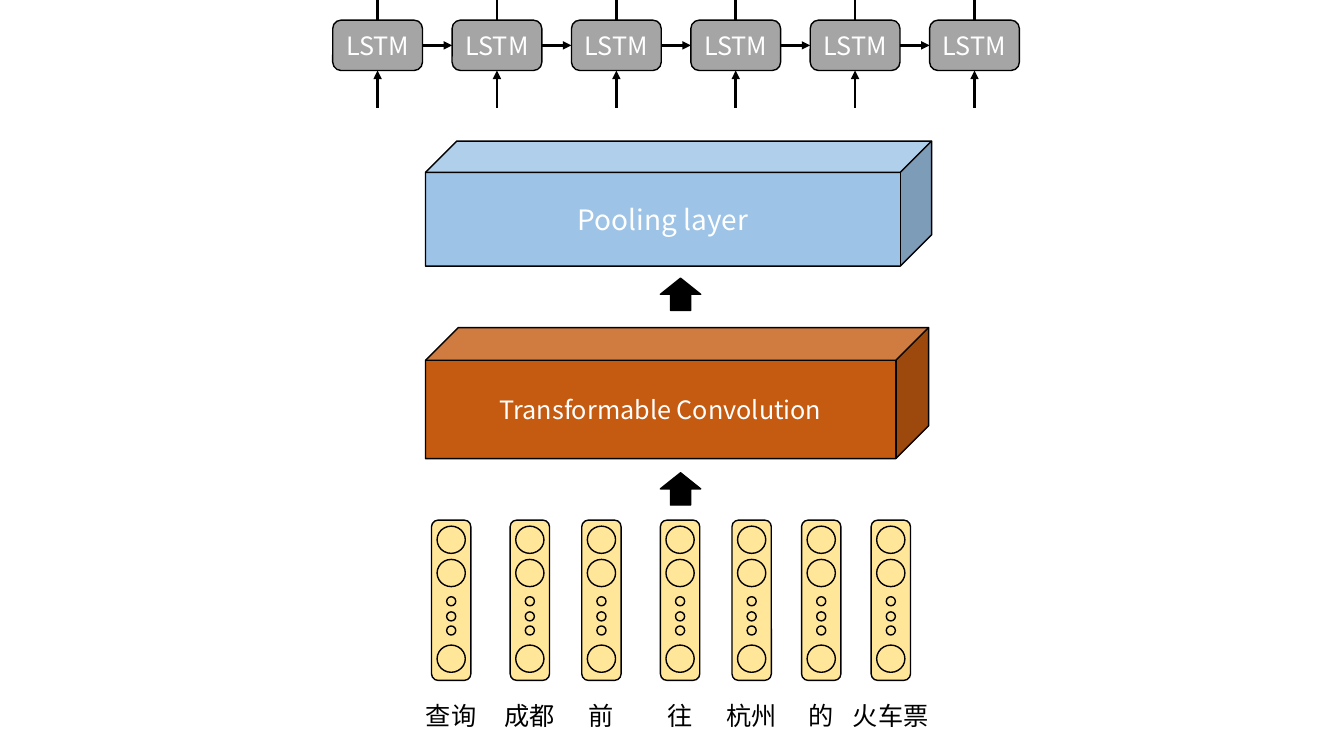
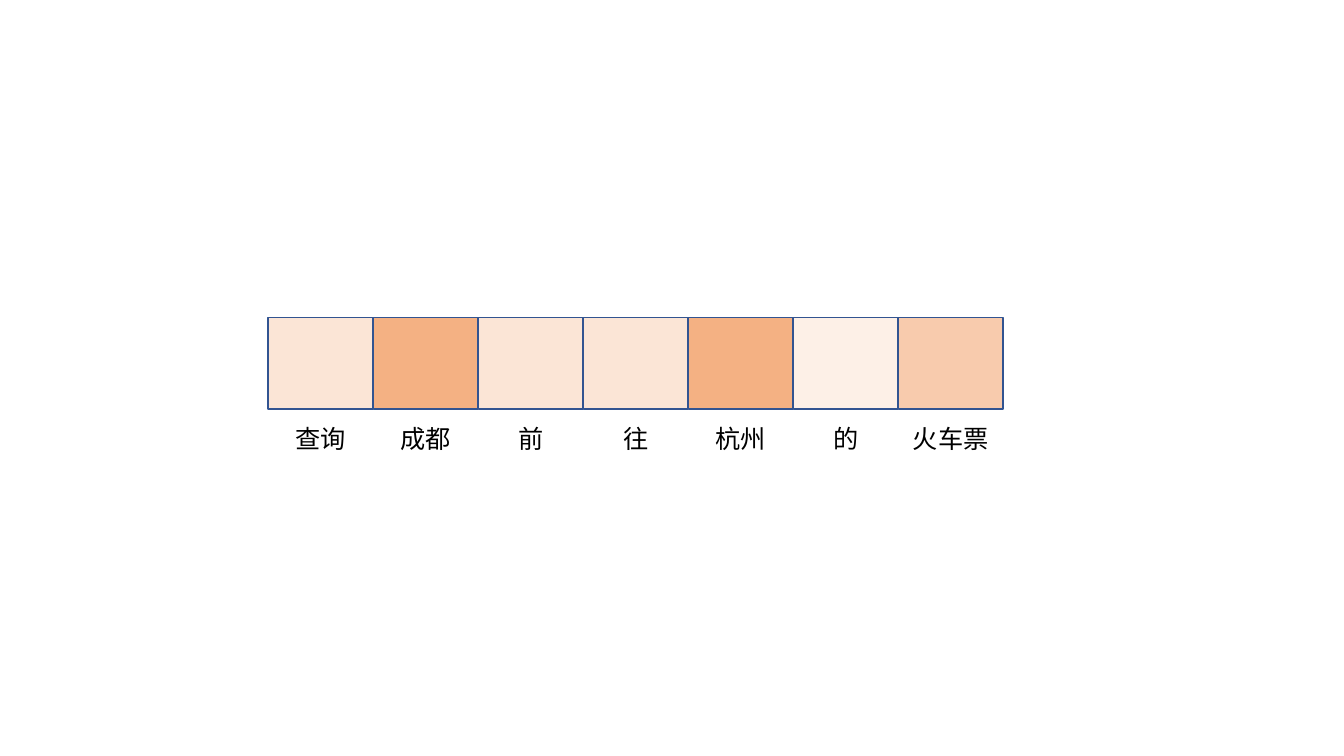
"""Build two slides on a sentence encoder and its word weights."""
from lxml import etree
from pptx import Presentation
from pptx.dml.color import RGBColor
from pptx.enum.shapes import MSO_CONNECTOR as Connector, MSO_SHAPE as Shape
from pptx.enum.text import MSO_ANCHOR as Anchor, MSO_AUTO_SIZE as AutoSize, PP_ALIGN as Align
from pptx.oxml.ns import qn
from pptx.util import Inches, Pt

FONT = "Noto Sans CJK SC"
BLACK = RGBColor(0x00, 0x00, 0x00)
WHITE = RGBColor(0xFF, 0xFF, 0xFF)
YELLOW = RGBColor(0xFF, 0xE6, 0x99)
BROWN = RGBColor(0xC5, 0x5A, 0x11)
BLUE = RGBColor(0x9D, 0xC3, 0xE6)
GREY = RGBColor(0xA5, 0xA5, 0xA5)
NAVY = RGBColor(0x32, 0x54, 0x91)
FAINT = RGBColor(0xFD, 0xF0, 0xE7)
LIGHT = RGBColor(0xFB, 0xE5, 0xD6)
MEDIUM = RGBColor(0xF8, 0xCB, 0xAD)
STRONG = RGBColor(0xF4, 0xB1, 0x83)

WORDS = ["查询", "成都", "前", "往", "杭州", "的", "火车票"]
EMBEDDING_LEFTS = [4.28, 5.06, 5.77, 6.55, 7.26, 7.95, 8.64]
WEIGHT_COLORS = [LIGHT, STRONG, LIGHT, LIGHT, STRONG, FAINT, MEDIUM]

EMBEDDING_WIDTH = 0.39
CIRCLE_TOPS = [5.22, 5.55, 6.4]
DOT_TOPS = [5.92, 6.07, 6.21]
LSTM_COUNT, LSTM_LEFT, LSTM_TOP = 6, 3.3, 0.2
LSTM_WIDTH, LSTM_HEIGHT, LSTM_PITCH = 0.89, 0.5, 1.184
ARROW_LENGTH = 0.37
WEIGHT_LEFT, WEIGHT_WIDTH = 2.66, 7.29 / len(WORDS)
TOP_SIDE, LEFT_SIDE, BOTTOM_SIDE, RIGHT_SIDE = range(4)


def write_text(frame, text, size=18, color=BLACK, anchor=Anchor.TOP):
    """Write one centred paragraph into a text frame."""
    frame.word_wrap = True
    frame.vertical_anchor = anchor
    paragraph = frame.paragraphs[0]
    paragraph.alignment = Align.CENTER
    run = paragraph.add_run()
    run.text = text
    run.font.size = Pt(size)
    run.font.name = FONT
    run.font.color.rgb = color
    east_asian = etree.SubElement(run.font._element, qn("a:ea"))
    east_asian.set("typeface", FONT)


def add_block(slide, preset, left, top, width, height, fill, line=BLACK, text="", size=18):
    """Add a filled, outlined shape with optional white text."""
    block = slide.shapes.add_shape(
        preset, Inches(left), Inches(top), Inches(width), Inches(height))
    block.shadow.inherit = False
    block.fill.solid()
    block.fill.fore_color.rgb = fill
    block.line.color.rgb = line
    block.line.width = Pt(1)
    if text:
        write_text(block.text_frame, text, size=size, color=WHITE, anchor=Anchor.MIDDLE)
    return block


def add_word(slide, word, center, top, width):
    """Add a word label centred on a column."""
    label = slide.shapes.add_textbox(
        Inches(center - width / 2), Inches(top), Inches(width), Inches(0.4))
    write_text(label.text_frame, word)
    label.text_frame.auto_size = AutoSize.SHAPE_TO_FIT_TEXT


def add_arrow(slide, start, end):
    """Add a straight black arrow between two points."""
    arrow = slide.shapes.add_connector(
        Connector.STRAIGHT, *(Inches(value) for value in (*start, *end)))
    arrow.line.color.rgb = BLACK
    arrow.line.width = Pt(2)
    head = etree.SubElement(arrow.line._get_or_add_ln(), qn("a:tailEnd"))
    head.set("type", "triangle")
    etree.SubElement(arrow._element.spPr, qn("a:effectLst"))
    return arrow


def add_embedding(slide, word, left):
    """Add one word vector with its circles, dots and label."""
    center = left + EMBEDDING_WIDTH / 2
    add_block(slide, Shape.ROUNDED_RECTANGLE, left, 5.16, EMBEDDING_WIDTH, 1.59, YELLOW)
    for top in CIRCLE_TOPS:
        add_block(slide, Shape.OVAL, center - 0.14, top, 0.28, 0.27, YELLOW)
    for top in DOT_TOPS:
        add_block(slide, Shape.FLOWCHART_CONNECTOR, center - 0.045, top, 0.09, 0.09, YELLOW)
    add_word(slide, word, center, 6.9, 1.05 if len(word) > 2 else 0.8)


def add_lstm_chain(slide):
    """Add the row of LSTM cells with their input, output and state arrows."""
    middle = LSTM_TOP + LSTM_HEIGHT / 2
    bottom = LSTM_TOP + LSTM_HEIGHT
    previous = None
    for index in range(LSTM_COUNT):
        left = LSTM_LEFT + index * LSTM_PITCH
        center = left + LSTM_WIDTH / 2
        cell = add_block(slide, Shape.ROUNDED_RECTANGLE, left, LSTM_TOP,
                         LSTM_WIDTH, LSTM_HEIGHT, GREY, text="LSTM")
        word_input = add_arrow(slide, (center, bottom + ARROW_LENGTH), (center, bottom))
        word_input.end_connect(cell, BOTTOM_SIDE)
        output = add_arrow(slide, (center, LSTM_TOP), (center, LSTM_TOP - ARROW_LENGTH))
        output.begin_connect(cell, TOP_SIDE)
        if previous is not None:
            state = add_arrow(
                slide, (left - LSTM_PITCH + LSTM_WIDTH, middle), (left, middle))
            state.begin_connect(previous, RIGHT_SIDE)
            state.end_connect(cell, LEFT_SIDE)
        previous = cell


def build_encoder(slide):
    """Build the network from word vectors up to the LSTM cells."""
    for word, left in zip(WORDS, EMBEDDING_LEFTS):
        add_embedding(slide, word, left)
    for top in (4.69, 2.76):
        add_block(slide, Shape.UP_ARROW, 6.55, top, 0.4, 0.32, BLACK)
    add_block(slide, Shape.CUBE, 4.22, 3.25, 4.99, 1.3, BROWN,
              text="Transformable Convolution")
    add_block(slide, Shape.CUBE, 4.22, 1.4, 5.02, 1.24, BLUE,
              text="Pooling layer", size=20)
    add_lstm_chain(slide)


def build_weights(slide):
    """Build the strip of word weights."""
    for index, (word, color) in enumerate(zip(WORDS, WEIGHT_COLORS)):
        left = WEIGHT_LEFT + index * WEIGHT_WIDTH
        add_block(slide, Shape.RECTANGLE, left, 3.15, WEIGHT_WIDTH, 0.91, color, line=NAVY)
        add_word(slide, word, left + WEIGHT_WIDTH / 2, 4.15, WEIGHT_WIDTH)


def main():
    """Create and save the presentation."""
    deck = Presentation()
    deck.slide_width = Inches(13.33)
    deck.slide_height = Inches(7.5)
    for build in (build_encoder, build_weights):
        build(deck.slides.add_slide(deck.slide_layouts[6]))
    deck.save("out.pptx")


if __name__ == "__main__":
    main()
